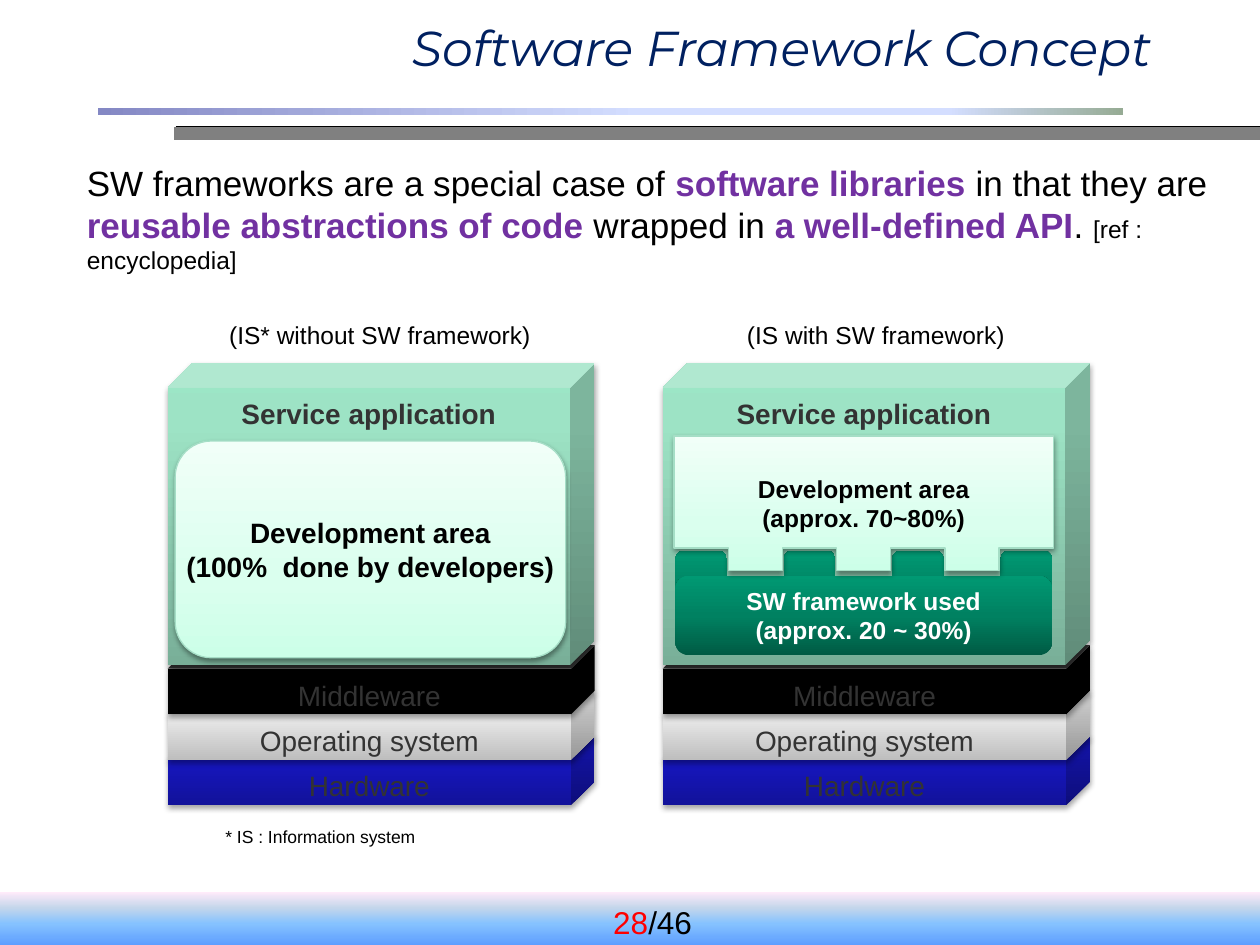
"""Build the slide on the software framework concept."""
from lxml import etree
from pptx import Presentation
from pptx import util as u
from pptx.dml.color import RGBColor
from pptx.enum import shapes, text
from pptx.oxml.ns import qn

FONT = "Arial"
INK, ACCENT, GREY = "000000", "7131A1", "333333"
TITLE = "Software Framework Concept"
INTRO = [
    ("SW frameworks are a special case of ", INK, False, 20),
    ("software libraries ", ACCENT, True, 20),
    ("in that they are ", INK, False, 20),
    ("reusable abstractions of code ", ACCENT, True, 20),
    ("wrapped in ", INK, False, 20),
    ("a well-defined API", ACCENT, True, 20),
    (". ", INK, False, 20),
    ("[ref : encyclopedia]", INK, False, 14),
]
PAGE = [("28", "FF0000", False, 18), ("/46", INK, False, 18)]
LABELS = [
    ("* IS : Information system", 10, (1.69, 6.51, 1.72, 0.27)),
    ("(IS* without SW framework)", 14, (1.72, 2.49, 2.61, 0.34)),
    ("(IS with SW framework)", 14, (5.83, 2.49, 2.26, 0.34)),
]
LAYERS = [
    ("Hardware", [(0, "12129A"), (80, "1717C8"), (100, "1414CC")]),
    ("Operating system", [(0, "BEBEBE"), (80, "F7F7F7"), (100, "F8F8F8")]),
    ("Middleware", INK),
]
SERVICE = "Service application"
ALONE = ["Development area", "(100%  done by developers)"]
SHARED = ["Development area", "(approx. 70~80%)"]
USED = ["SW framework used", "(approx. 20 ~ 30%)"]
MINT = [(0, "79AF98"), (80, "9DE3C5"), (100, "9CE6C6")]
PALE = [(0, "CCFFE8"), (35, "DAFFEE"), (100, "F1FFF8")]
DEEP = [(0, "005B44"), (50, "008161"), (100, "009973")]
SKY = [(0, "5E9EFF"), (40, "85C2FF"), (70, "C4D6EB"), (100, "FFEBFA")]
RULE = [(0, "8488C4"), (53, "D4DEFF"), (83, "D4DEFF"), (100, "96AB94")]
SOFT, DROP = (35, 3.1, 1.8, 90), (38, 3.1, 1.6, 90)
LEFTS = (1.33, 5.26)
WIDE, BASE, STEP, THICK = 3.39, 5.84, 0.36, 0.55
KIND = shapes.MSO_SHAPE
MID = text.MSO_ANCHOR.MIDDLE


def rgb(code):
    return RGBColor.from_string(code)


def box(at):
    return [u.Inches(n) for n in at]


def paint(shape, fill, angle=90):
    if isinstance(fill, str):
        shape.fill.solid()
        shape.fill.fore_color.rgb = rgb(fill)
        return
    shape.fill.gradient()
    shape.fill.gradient_angle = angle
    stops = next(shape.element.spPr.iter(qn("a:gsLst")))
    for old in list(stops):
        stops.remove(old)
    for pos, code in fill:
        stop = etree.SubElement(stops, qn("a:gs"), pos=str(pos * 1000))
        etree.SubElement(stop, qn("a:srgbClr"), val=code)


def shade(effects, alpha, blur, dist, angle):
    cast = etree.SubElement(effects, qn("a:outerShdw"), blurRad=str(u.Pt(blur)),
                            dist=str(u.Pt(dist)), dir=str(angle * 60000),
                            algn="ctr", rotWithShape="0")
    tone = etree.SubElement(cast, qn("a:srgbClr"), val=INK)
    etree.SubElement(tone, qn("a:alpha"), val=str(alpha * 1000))


def style(shape, fill, edge=None, cast=None, angle=90):
    paint(shape, fill, angle)
    if edge:
        shape.line.color.rgb = rgb(edge)
        shape.line.width = u.Pt(0.75)
    else:
        shape.line.fill.background()
    shape.shadow.inherit = False
    if cast:
        shade(shape.element.spPr.find(qn("a:effectLst")), *cast)
    return shape


def add(host, kind, at, *look, adj=None, **more):
    shape = host.add_shape(kind, *box(at))
    if adj is not None:
        shape.adjustments[0] = adj
    return style(shape, *look, **more)


def write(shape, lines, size, code=INK, bold=False, wrap=True, anchor=MID,
          align=text.PP_ALIGN.CENTER, face=FONT, space=None):
    frame = shape.text_frame
    frame.word_wrap, frame.vertical_anchor = wrap, anchor
    frame.text = "\n".join(lines)
    for para in frame.paragraphs:
        para.alignment, para.line_spacing = align, space
        font = para.font
        font.name, font.size, font.bold = face, u.Pt(size), bold
        font.color.rgb = rgb(code)
    return frame


def spell(host, at, parts, align):
    frame = host.add_textbox(*box(at)).text_frame
    frame.word_wrap = True
    para = frame.paragraphs[0]
    para.alignment, para.font.name = align, FONT
    for words, code, bold, size in parts:
        run = para.add_run()
        run.text = words
        run.font.size, run.font.bold = u.Pt(size), bold
        run.font.color.rgb = rgb(code)


def cube(host, at, adj, fill, words, **more):
    shape = add(host, KIND.CUBE, at, fill, None, SOFT, adj=adj)
    frame = write(shape, [words], 16, GREY, space=1.2, **more)
    frame.margin_left = frame.margin_right = 0
    frame.margin_top = frame.margin_bottom = u.Inches(0.02)


def stack(host, left):
    for row, (words, fill) in enumerate(LAYERS):
        cube(host, (left, BASE - row * STEP, WIDE, THICK), 0.341, fill, words)
    cube(host, (left, 2.88, WIDE, 2.4), 0.082, MINT, SERVICE,
         bold=True, anchor=text.MSO_ANCHOR.TOP)


def comb(host, left, top):
    """Draw the development area with three teeth that fit the framework."""
    pitch, deep, tooth, wide = 0.43, 0.89, 0.18, 3.01
    points = [(left, top + deep)]
    for col in range(1, 7):
        first, last = (deep, deep + tooth) if col % 2 else (deep + tooth, deep)
        points += [(left + col * pitch, top + drop) for drop in (first, last)]
    points += [(left + wide, top + deep), (left + wide, top), (left, top)]
    spots = [box(point) for point in points]
    pen = host.build_freeform(*spots[0])
    pen.add_line_segments(spots[1:], close=True)
    return style(pen.convert_to_shape(), PALE, "A5DEC6", DROP)


def main():
    deck = Presentation()
    deck.slide_width, deck.slide_height = u.Inches(10), u.Inches(7.5)
    slide = deck.slides.add_slide(deck.slide_layouts[5])
    host, left = slide.shapes, text.PP_ALIGN.LEFT

    bar = host.add_connector(shapes.MSO_CONNECTOR.STRAIGHT, *box((1.38, 1.06, 10, 1.06)))
    bar.line.color.rgb, bar.line.width = rgb("808080"), u.Pt(7)
    shade(etree.SubElement(bar.element.spPr, qn("a:effectLst")), 100, 0, 1.4, 315)
    add(host, KIND.RECTANGLE, (0, 7.08, 10, 0.42), SKY)
    spell(host, (4.63, 7.12, 1.1, 0.34), PAGE, text.PP_ALIGN.CENTER)

    title = host.title
    title.left, title.top, title.width, title.height = box((3.17, 0.09, 6.83, 0.57))
    write(title, [TITLE], 28, "002060", align=left, face="Montserrat")
    title.text_frame.paragraphs[0].font.italic = True
    spell(host, (0.59, 1.23, 9.41, 0.77), INTRO, left)
    for words, size, at in LABELS:
        write(host.add_textbox(*box(at)), [words], size, wrap=False,
              anchor=text.MSO_ANCHOR.TOP, align=left)

    plain, framed = [host.add_group_shape().shapes for _ in LEFTS]
    for group, start in zip((plain, framed), LEFTS):
        stack(group, start)
    area = add(plain, KIND.ROUNDED_RECTANGLE, (1.39, 3.5, 3.1, 1.72), PALE, "A5DEC6", DROP)
    write(area, ALONE, 16, bold=True, wrap=False)
    for col in range(4):
        add(framed, KIND.ROUNDED_RECTANGLE, (5.36 + col * 0.86, 4.37, 0.41, 0.67), DEEP)
    used = add(framed, KIND.ROUNDED_RECTANGLE, (5.36, 4.57, 2.99, 0.63), DEEP)
    write(used, USED, 14, "FFFFFF", bold=True, wrap=False)
    write(comb(framed, 5.35, 3.46), SHARED, 14, bold=True)
    add(host, KIND.RECTANGLE, (0.78, 0.86, 8.13, 0.05), RULE, angle=0)
    deck.save("out.pptx")


if __name__ == "__main__":
    main()
